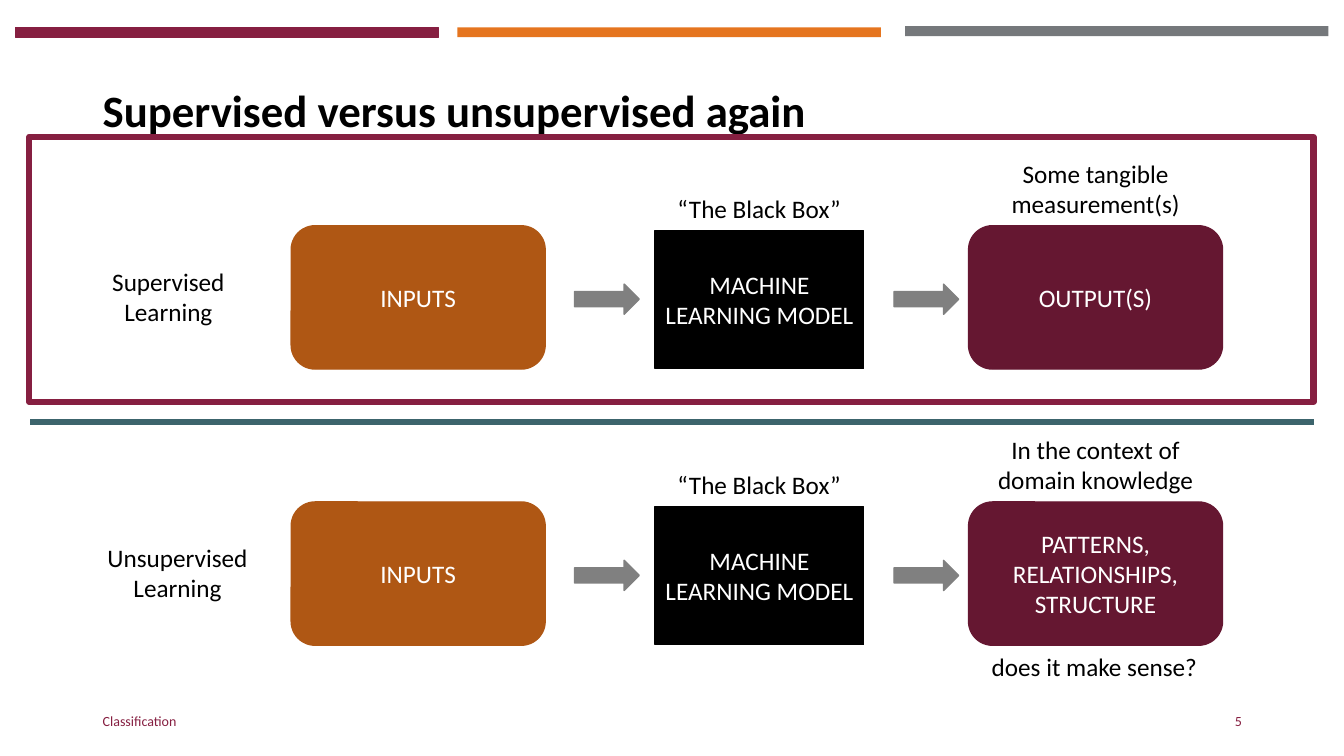
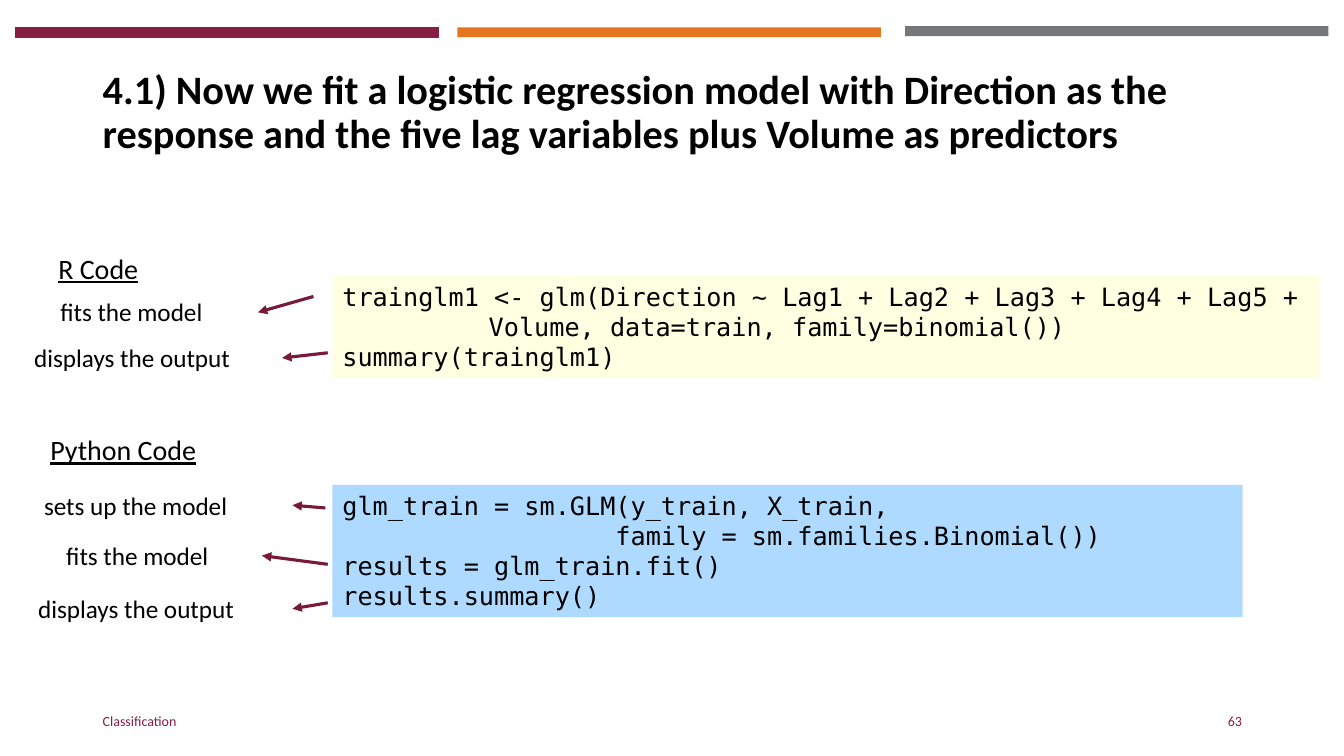
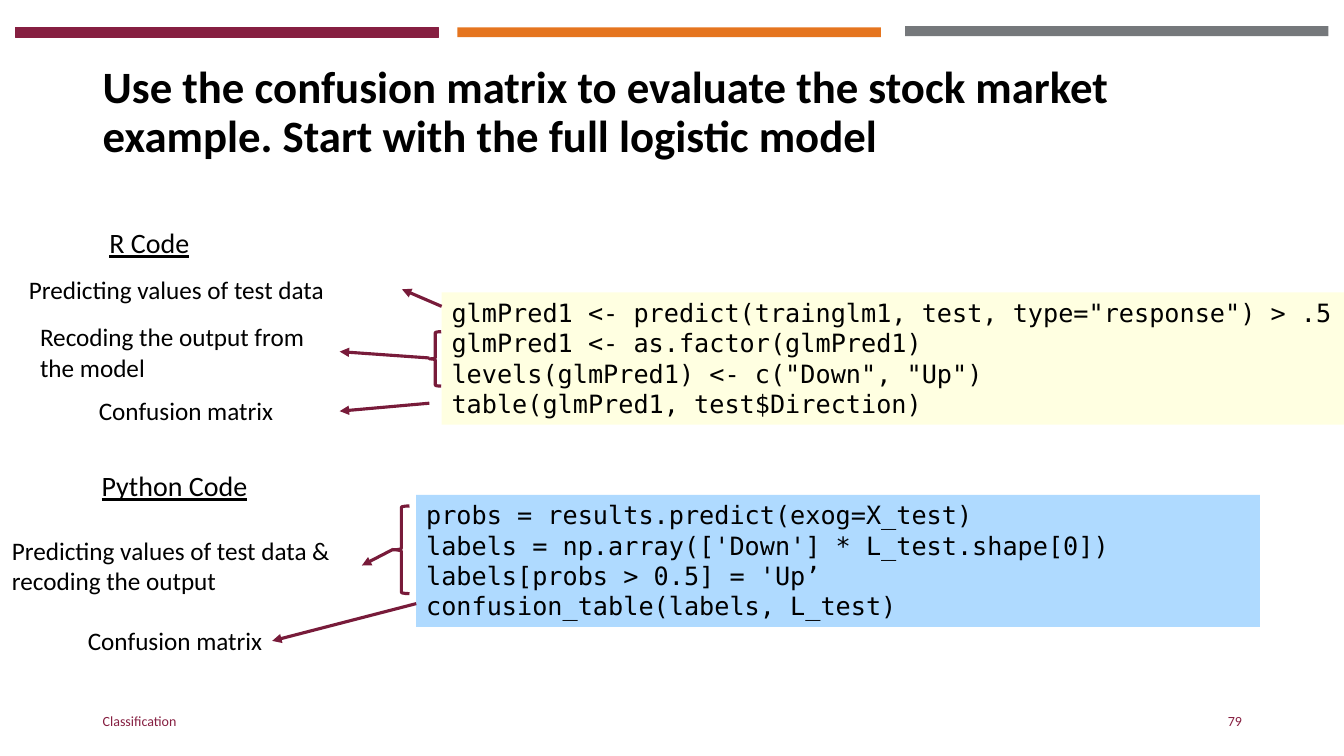
from lxml.etree import SubElement
from pptx import Presentation
from pptx.dml.color import RGBColor
from pptx.enum.shapes import MSO_CONNECTOR as Connector, MSO_SHAPE as Shape
from pptx.enum.text import MSO_ANCHOR as Anchor, PP_ALIGN as Align
from pptx.oxml.ns import qn
from pptx.util import Cm, Pt

COLORS = {
    "maroon": "861F41", "orange": "E5751F", "gray": "75787B",
    "black": "000000", "white": "FFFFFF", "rust": "AF5714",
    "wine": "651731", "flow": "808080", "teal": "3C646C",
    "pointer": "781B3A", "R Code": "FFFFE1", "Python Code": "AFDAFF",
}
BODY_FONT, CODE_FONT = "Calibri", "DejaVu Sans Mono"
FOOTER = "Classification"
BANDS = [("maroon", 0.38, 0.69), ("orange", 11.53, 0.69), ("gray", 22.81, 0.66)]

FLOW_TITLE = ("Supervised versus unsupervised again", 32, 5)
FLOWS = [
    {"top": 5.69, "label": "Supervised Learning", "label_left": 1.83,
     "above": "Some tangible measurement(s)", "result": ["OUTPUT(S)"]},
    {"top": 12.65, "label": "Unsupervised Learning", "label_left": 2.06,
     "above": "In the context of domain knowledge",
     "result": ["PATTERNS,", "RELATIONSHIPS, STRUCTURE"]},
]
QUESTION = "does it make sense?"
CARD = (6.4, 3.61)
INPUT_LEFT, RESULT_LEFT = 7.34, 24.41
FLOW_ARROWS = (14.48, 22.53)

ONE_LINE, TWO_LINES = 1.02, 1.8

CODE_SLIDES = [
    {
        "title": ("4.1) Now we fit a logistic regression model with Direction as the "
                  "response and the five lag variables plus Volume as predictors", 28.8, 63),
        "blocks": [
            {"language": "R Code", "heading": (1.22, 5.77), "box": (8.38, 6.96, 24.87, 2.57),
             "code": ["trainglm1 <- glm(Direction ~ Lag1 + Lag2 + Lag3 + Lag4 + Lag5 +",
                      "\t\t   Volume, data=train, family=binomial())",
                      "summary(trainglm1)"],
             "notes": [("fits the model", (1.27, 7.34, 5.26, ONE_LINE), Align.LEFT),
                       ("displays the output", (0.61, 8.51, 6.5, ONE_LINE), Align.LEFT)],
             "pointers": [(7.9, 7.47, 6.5, 7.87), (8.26, 8.89, 7.11, 9.02)],
             "braces": []},
            {"language": "Python Code", "heading": (1.02, 10.34), "box": (8.38, 12.22, 22.94, 3.33),
             "code": ["glm_train = sm.GLM(y_train, X_train,",
                      "                  family = sm.families.Binomial())",
                      "results = glm_train.fit()",
                      "results.summary()"],
             "notes": [("sets up the model", (0.86, 12.22, 6.5, ONE_LINE), Align.LEFT),
                       ("fits the model", (1.42, 13.49, 5.18, ONE_LINE), Align.LEFT),
                       ("displays the output", (0.71, 14.83, 6.65, ONE_LINE), Align.LEFT)],
             "pointers": [(8.2, 12.8, 7.37, 12.73), (8.26, 14.22, 6.6, 14),
                          (8.26, 15.19, 7.37, 15.34)],
             "braces": []},
        ],
    },
    {
        "title": ("Use the confusion matrix to evaluate the stock market example. "
                  "Start with the full logistic model", 32, 79),
        "blocks": [
            {"language": "R Code", "heading": (2.51, 5.13), "box": (11.13, 7.37, 22.74, 3.33),
             "code": ['glmPred1 <- predict(trainglm1, test, type="response") > .5',
                      "glmPred1 <- as.factor(glmPred1)",
                      'levels(glmPred1) <- c("Down", "Up")',
                      "table(glmPred1, test$Direction)"],
             "notes": [("Predicting values of test data", (0.48, 6.78, 9.65, ONE_LINE), Align.LEFT),
                       ("Recoding the output from the model", (0.76, 7.98, 7.8, TWO_LINES), Align.LEFT),
                       ("Confusion matrix", (2.24, 9.83, 6.32, ONE_LINE), Align.LEFT)],
             "pointers": [(11.13, 7.72, 10.13, 7.29), (10.82, 9.02, 8.56, 8.86),
                          (10.82, 10.16, 8.56, 10.36)],
             "braces": [(10.82, 8.36, 0.3, 1.37)]},
            {"language": "Python Code", "heading": (2.31, 11.25), "box": (10.49, 12.47, 21.26, 3.33),
             "code": ["probs = results.predict(exog=X_test)",
                      "labels = np.array(['Down'] * L_test.shape[0])",
                      "labels[probs > 0.5] = 'Up’",
                      "confusion_table(labels, L_test)"],
             "notes": [("Predicting values of test data & recoding the output",
                        (0.05, 13.36, 9.07, TWO_LINES), Align.LEFT),
                       ("Confusion matrix", (0.81, 15.62, 6.05, ONE_LINE), Align.RIGHT)],
             "pointers": [(9.91, 13.84, 9.12, 14.25), (10.49, 15.21, 6.86, 16.15)],
             "braces": [(9.91, 12.75, 0.41, 2.21)]},
        ],
    },
]


def rgb(name):
    return RGBColor.from_string(COLORS[name])


def write(holder, lines, size=18, color="black", font=BODY_FONT, align=Align.LEFT,
          anchor=Anchor.TOP, spacing=None, bold=False, underline=False):
    frame = holder.text_frame
    frame.word_wrap = True
    frame.vertical_anchor = anchor
    for index, line in enumerate(lines):
        paragraph = frame.add_paragraph() if index else frame.paragraphs[0]
        paragraph.alignment = align
        if spacing:
            paragraph.line_spacing = spacing
        run = paragraph.add_run()
        run.text = line
        run.font.name, run.font.size = font, Pt(size)
        run.font.bold, run.font.underline = bold, underline
        run.font.color.rgb = rgb(color)


def add_text(slide, box, text, **style):
    write(slide.shapes.add_textbox(*map(Cm, box)), [text], **style)


def add_block(slide, kind, box, fill=None, line=None, width=1):
    block = slide.shapes.add_shape(kind, *map(Cm, box))
    block.shadow.inherit = False
    if fill:
        block.fill.solid()
        block.fill.fore_color.rgb = rgb(fill)
    else:
        block.fill.background()
    if line:
        block.line.color.rgb = rgb(line)
        block.line.width = Pt(width)
    else:
        block.line.fill.background()
    return block


def add_line(slide, ends, color, width, arrow=False):
    line = slide.shapes.add_connector(Connector.STRAIGHT, *map(Cm, ends))
    line.line.color.rgb = rgb(color)
    line.line.width = Pt(width)
    if arrow:
        SubElement(line.line._get_or_add_ln(), qn("a:tailEnd"), type="triangle")
    SubElement(line._element.spPr, qn("a:effectLst"))


def start_slide(deck, title, size, number):
    slide = deck.slides.add_slide(deck.slide_layouts[6])
    for color, left, top in BANDS:
        add_block(slide, Shape.RECTANGLE, (left, top, 10.67, 0.25), color,
                  "maroon" if color == "maroon" else None, 0.75)
    add_text(slide, (2.34, 1.02, 29.21, 3.68), title, size=size, bold=True,
             anchor=Anchor.MIDDLE, spacing=0.9)
    small = {"size": 10, "color": "maroon", "anchor": Anchor.MIDDLE}
    add_text(slide, (2.34, 17.65, 11.43, 1.02), FOOTER, **small)
    add_text(slide, (23.93, 17.65, 7.62, 1.02), str(number), align=Align.RIGHT, **small)
    return slide


def add_flow(slide, flow):
    top = flow["top"]
    stages = [
        (Shape.ROUNDED_RECTANGLE, (INPUT_LEFT, top, *CARD), "rust", ["INPUTS"]),
        (Shape.RECTANGLE, (16.51, top + 0.12, 5.26, 3.48), "black", ["MACHINE LEARNING MODEL"]),
        (Shape.ROUNDED_RECTANGLE, (RESULT_LEFT, top, *CARD), "wine", flow["result"]),
    ]
    for kind, box, color, lines in stages:
        write(add_block(slide, kind, box, color, color), lines, color="white",
              align=Align.CENTER, anchor=Anchor.MIDDLE)
    for left in FLOW_ARROWS:
        add_block(slide, Shape.RIGHT_ARROW, (left, top + 1.47, 1.63, 0.76), "flow", "flow")
    captions = [
        (flow["label"], (flow["label_left"], top + 0.89, 4.83, TWO_LINES)),
        ("“The Black Box”", (15.88, top - 0.94, 6.5, ONE_LINE)),
        (flow["above"], (RESULT_LEFT, top - 1.83, CARD[0], TWO_LINES)),
    ]
    for text, box in captions:
        add_text(slide, box, text, align=Align.CENTER)


def add_code(slide, block):
    language = block["language"]
    add_text(slide, (*block["heading"], 5.64, 1.55), language, size=20, underline=True,
             anchor=Anchor.MIDDLE, spacing=1.5)
    write(add_block(slide, Shape.RECTANGLE, block["box"], language), block["code"], font=CODE_FONT)
    for text, box, align in block["notes"]:
        add_text(slide, box, text, align=align)
    for box in block["braces"]:
        add_block(slide, Shape.LEFT_BRACE, box, line="pointer", width=2.25)
    for ends in block["pointers"]:
        add_line(slide, ends, "pointer", 2.25, arrow=True)


def main():
    deck = Presentation()
    deck.slide_width, deck.slide_height = Cm(33.87), Cm(19.05)

    slide = start_slide(deck, *FLOW_TITLE)
    for flow in FLOWS:
        add_flow(slide, flow)
    add_text(slide, (24, 16.28, 7.16, ONE_LINE), QUESTION, align=Align.CENTER)
    add_line(slide, (0.76, 10.64, 33.12, 10.64), "teal", 4.5)
    add_block(slide, Shape.RECTANGLE, (0.74, 3.45, 32.36, 6.68), line="maroon", width=4.5)

    for content in CODE_SLIDES:
        slide = start_slide(deck, *content["title"])
        for block in content["blocks"]:
            add_code(slide, block)

    deck.save("out.pptx")


if __name__ == "__main__":
    main()
